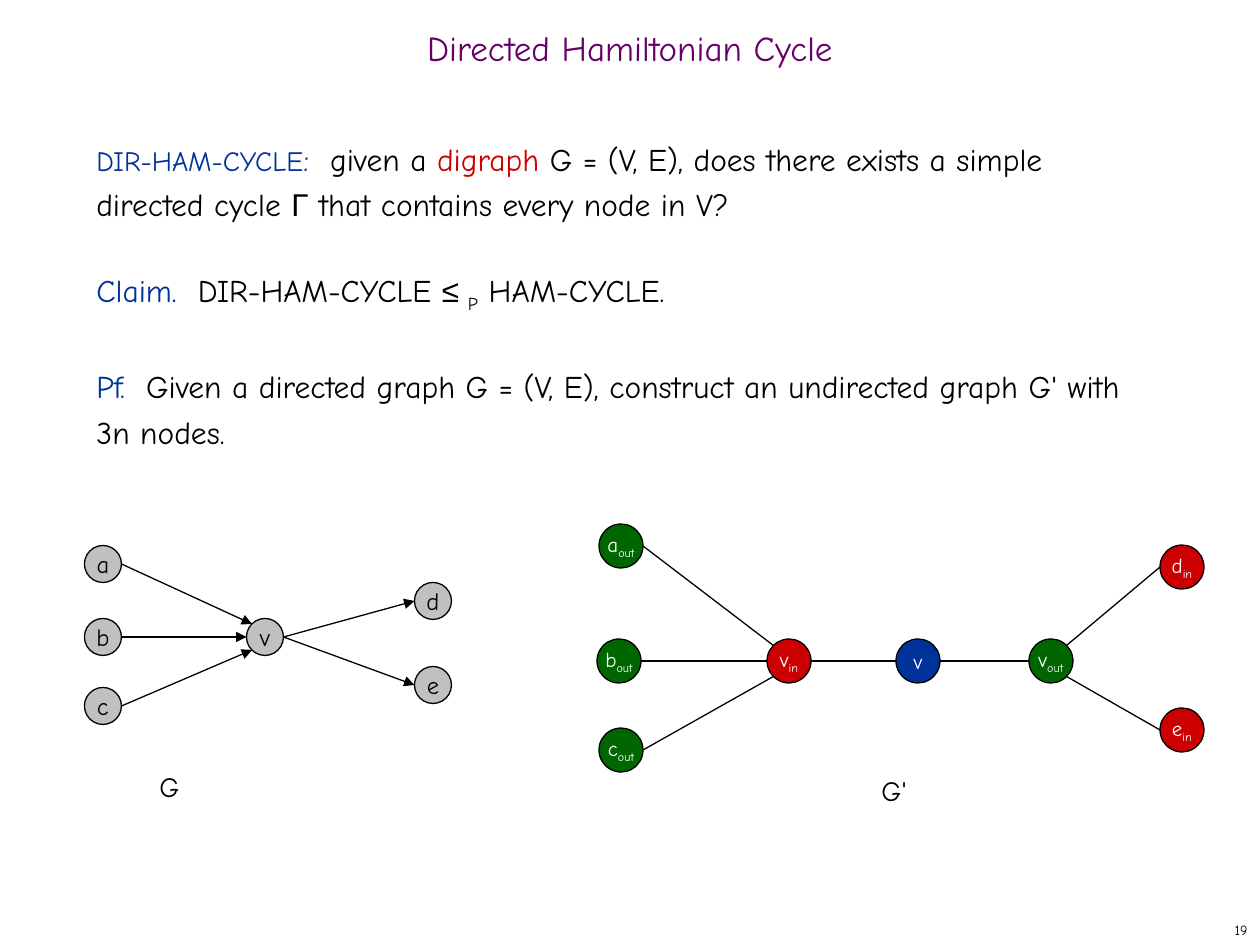
from lxml import etree
from pptx import Presentation
from pptx.dml.color import RGBColor
from pptx.enum.shapes import MSO_CONNECTOR, MSO_SHAPE
from pptx.enum.text import MSO_ANCHOR, MSO_AUTO_SIZE, PP_ALIGN
from pptx.oxml.ns import qn
from pptx.util import Pt

SCALE = 914400 / 126  # EMU per px
FONT, SYMBOL = "Comic Neue", "Arial"
BLACK = RGBColor(0x00, 0x00, 0x00)
WHITE = RGBColor(0xFF, 0xFF, 0xFF)
GRAY = RGBColor(0xC0, 0xC0, 0xC0)
PURPLE = RGBColor(0x66, 0x00, 0x66)
BLUE = RGBColor(0x00, 0x33, 0x99)
RED = RGBColor(0xCC, 0x00, 0x00)
GREEN = RGBColor(0x00, 0x66, 0x00)
OVAL, STRAIGHT = MSO_SHAPE.OVAL, MSO_CONNECTOR.STRAIGHT
LEFT, CENTER, RIGHT = PP_ALIGN.LEFT, PP_ALIGN.CENTER, PP_ALIGN.RIGHT
MIDDLE, NO_FIT = MSO_ANCHOR.MIDDLE, MSO_AUTO_SIZE.NONE

# Points on a circle of radius 1 where edges attach
DIAG = 0.7
SITES = {"l": (-1, 0), "r": (1, 0), "tl": (-DIAG, -DIAG), "bl": (-DIAG, DIAG),
         "tr": (DIAG, -DIAG), "br": (DIAG, DIAG)}


def px(*vals):
    return [round(v * SCALE) for v in vals]


class Deck:
    def __init__(self):
        self.prs = Presentation()
        self.prs.slide_width, self.prs.slide_height = px(1260, 945)
        self.slide = self.prs.slides.add_slide(self.prs.slide_layouts[5])
        self.shapes = self.slide.shapes

    def style(self, para, size, color=BLACK, align=LEFT):
        para.alignment = align
        para.font.name, para.font.size = FONT, Pt(size)
        para.font.color.rgb = color

    def sub(self, run):
        run._r.get_or_add_rPr().set("baseline", "-25000")

    def title(self, text, box):
        shape = self.shapes.title
        shape.left, shape.top, shape.width, shape.height = px(*box)
        frame = shape.text_frame
        frame.auto_size, frame.vertical_anchor = NO_FIT, MIDDLE
        frame.text = text
        para = frame.paragraphs[0]
        para.line_spacing = 0.7
        self.style(para, 20, PURPLE, CENTER)

    def label(self, text, box, size=16, align=LEFT):
        frame = self.shapes.add_textbox(*px(*box)).text_frame
        frame.word_wrap = True
        frame.text = text
        self.style(frame.paragraphs[0], size, align=align)
        return frame

    def body(self, paras, box):
        frame = self.shapes.add_textbox(*px(*box)).text_frame
        frame.word_wrap = True
        for i, runs in enumerate(paras):
            para = frame.add_paragraph() if i else frame.paragraphs[0]
            self.style(para, 18)
            para.line_spacing = Pt(26)
            para.space_before = Pt(26 if i else 0)
            for text, look in runs:
                run = para.add_run()
                run.text = text
                if "color" in look:
                    run.font.color.rgb = look["color"]
                if "size" in look:
                    run.font.size = Pt(look["size"])
                if "font" in look:
                    run.font.name = look["font"]
                if "sub" in look:
                    self.sub(run)

    def node(self, text, x, y, dia, fill, size, color, sub=""):
        shape = self.shapes.add_shape(
            OVAL, *px(x - dia / 2, y - dia / 2, dia, dia))
        shape.shadow.inherit = False
        shape.fill.solid()
        shape.fill.fore_color.rgb = fill
        shape.line.color.rgb, shape.line.width = BLACK, Pt(0.75)
        frame = shape.text_frame
        frame.word_wrap, frame.vertical_anchor = False, MIDDLE
        para = frame.paragraphs[0]
        self.style(para, size, color, CENTER)
        para.add_run().text = text
        if sub:
            low = para.add_run()
            low.text = sub
            self.sub(low)

    def edge(self, start, end, arrow):
        line = self.shapes.add_connector(STRAIGHT, *px(*start, *end))
        line.line.color.rgb, line.line.width = BLACK, Pt(0.75)
        if arrow:
            etree.SubElement(line.line._get_or_add_ln(), qn("a:tailEnd"),
                             type="triangle")
        etree.SubElement(line._element.spPr, qn("a:effectLst"))

    def graph(self, nodes, edges, dia, size, color, arrow):
        for text, sub, x, y, fill in nodes:
            self.node(text, x, y, dia, fill, size, color, sub)
        spots = {text + sub: (x, y) for text, sub, x, y, _ in nodes}

        def point(name, site):
            return [c + d * dia / 2 for c, d in zip(spots[name], SITES[site])]

        for tail, out, head, into in edges:
            self.edge(point(tail, out), point(head, into), arrow)


def main():
    deck = Deck()
    deck.title("Directed Hamiltonian Cycle", (0, 21, 1260, 63))

    # Problem, claim and proof
    deck.body([
        [("DIR-HAM-CYCLE", {"color": BLUE, "size": 16}),
         (":  ", {"color": BLUE}), ("given a ", {}),
         ("digraph", {"color": RED}),
         (" G = (V, E), does there exists a simple directed cycle ", {}),
         ("Γ", {"font": SYMBOL}), (" that contains every node in V?", {})],
        [("Claim.  ", {"color": BLUE}), ("DIR-HAM-CYCLE ", {}),
         ("≤ ", {"font": SYMBOL}), ("P", {"sub": True}), (" HAM-CYCLE.", {})],
        [("Pf.  ", {"color": BLUE}),
         ("Given a directed graph G = (V, E), construct an undirected "
          "graph G' with 3n nodes.", {})],
    ], (84, 126, 1081, 746))

    # Directed graph G
    deck.graph(
        [("v", "", 265, 637, GRAY), ("a", "", 103, 564, GRAY),
         ("b", "", 103, 637, GRAY), ("c", "", 103, 706, GRAY),
         ("d", "", 433, 601, GRAY), ("e", "", 433, 685, GRAY)],
        [("a", "r", "v", "tl"), ("b", "r", "v", "l"), ("c", "r", "v", "bl"),
         ("v", "r", "d", "l"), ("v", "r", "e", "l")],
        dia=37, size=14, color=BLACK, arrow=True)
    deck.label("G", (147, 763, 126, 47))

    # Undirected graph G'
    deck.graph(
        [("v", "in", 789, 661, RED), ("v", "", 918, 661, BLUE),
         ("v", "out", 1051, 661, GREEN), ("a", "out", 621, 546, GREEN),
         ("b", "out", 619, 661, GREEN), ("c", "out", 621, 750, GREEN),
         ("d", "in", 1182, 567, RED), ("e", "in", 1182, 730, RED)],
        [("aout", "r", "vin", "tl"), ("bout", "r", "vin", "l"),
         ("cout", "r", "vin", "bl"), ("vin", "r", "v", "l"),
         ("v", "r", "vout", "l"), ("vout", "tr", "din", "l"),
         ("vout", "br", "ein", "l")],
        dia=44, size=12, color=WHITE, arrow=False)
    deck.label("G'", (869, 767, 126, 47))

    # Page number
    page = deck.label("19", (998, 914, 262, 31), 8, RIGHT)
    page.vertical_anchor = MIDDLE

    deck.prs.save("out.pptx")


if __name__ == "__main__":
    main()
